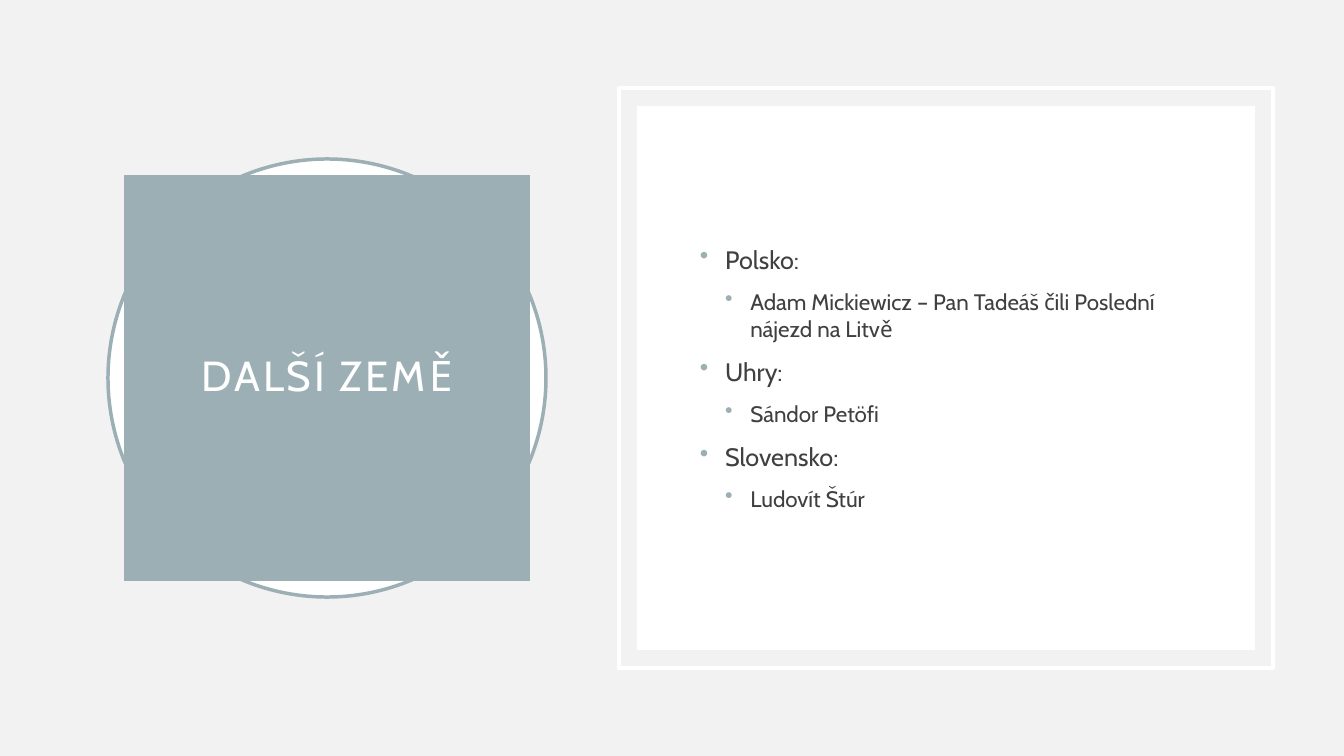
from lxml import etree
from pptx import Presentation
from pptx import util as u
from pptx.dml.color import RGBColor
from pptx.enum import shapes, text
from pptx.oxml.ns import qn

PX_PER_INCH = 100.8
FONT = "Cabin"
PAPER = RGBColor(0xF2, 0xF2, 0xF2)
WHITE = RGBColor(0xFF, 0xFF, 0xFF)
TEAL = RGBColor(0x9B, 0xAF, 0xB5)
INK = RGBColor(0x40, 0x40, 0x40)

COUNTRIES = [
    ("Polsko:", "Adam Mickiewicz – Pan Tadeáš čili Poslední nájezd na Litvě"),
    ("Uhry:", "Sándor Petöfi"),
    ("Slovensko:", "Ludovít Štúr"),
]


def px(length):
    return u.Inches(length / PX_PER_INCH)


def inset(box, dx, dy):
    """Shrink a (left, top, width, height) box on every side."""
    left, top, width, height = box
    return left + dx, top + dy, width - 2 * dx, height - 2 * dy


def add_shape(page, kind, box, fill=None, line=None):
    shape = page.shapes.add_shape(kind, *map(px, box))
    shape.shadow.inherit = False
    if fill is None:
        shape.fill.background()
    else:
        shape.fill.solid()
        shape.fill.fore_color.rgb = fill
    if line is None:
        shape.line.fill.background()
    else:
        shape.line.color.rgb = line
        shape.line.width = u.Pt(2.5)
    return shape


def add_text(para, words, size, color, spacing=0):
    """Add a run; spacing is the letter spacing in points."""
    span = para.add_run()
    span.text = words
    span.font.name = FONT
    span.font.size = u.Pt(size)
    span.font.color.rgb = color
    if spacing:
        span.font._element.set("spc", str(spacing * 100))


def add_bullet(para, level):
    para.level = level
    para.space_before = u.Pt(10)
    props = para._p.get_or_add_pPr()
    props.set("marL", str(u.Inches(0.25 * (level + 1))))
    props.set("indent", str(u.Inches(-0.25)))
    color = etree.SubElement(props, qn("a:buClr"))
    etree.SubElement(color, qn("a:srgbClr"), val=str(TEAL))
    etree.SubElement(props, qn("a:buChar"), char="•")


def draw_title(page, box, title):
    add_shape(page, shapes.MSO_SHAPE.OVAL, box, WHITE, TEAL)
    square = add_shape(page, shapes.MSO_SHAPE.RECTANGLE, inset(box, 16, 16), TEAL)
    frame = square.text_frame
    frame.word_wrap = True
    frame.vertical_anchor = text.MSO_ANCHOR.MIDDLE
    frame.margin_left = frame.margin_right = u.Inches(0.2)
    frame.margin_top = frame.margin_bottom = u.Inches(0.2)
    para = frame.paragraphs[0]
    para.alignment = text.PP_ALIGN.CENTER
    para.line_spacing = 0.9
    add_text(para, title, size=30, color=WHITE, spacing=2)


def draw_countries(page, box, countries):
    add_shape(page, shapes.MSO_SHAPE.RECTANGLE, box, line=WHITE)
    add_shape(page, shapes.MSO_SHAPE.RECTANGLE, inset(box, 18, 18), WHITE)
    body = page.shapes.add_textbox(*map(px, inset(box, 71, 71)))
    frame = body.text_frame
    frame.word_wrap = True
    frame.vertical_anchor = text.MSO_ANCHOR.MIDDLE
    lines = [(words, level) for entry in countries for level, words in enumerate(entry)]
    for number, (words, level) in enumerate(lines):
        para = frame.add_paragraph() if number else frame.paragraphs[0]
        add_bullet(para, level)
        add_text(para, words, size=18 - 2 * level, color=INK)


def main():
    deck = Presentation()
    deck.slide_width, deck.slide_height = px(1344), px(756)
    page = deck.slides.add_slide(deck.slide_layouts[6])
    page.background.fill.solid()
    page.background.fill.fore_color.rgb = PAPER
    draw_title(page, (108, 159, 438, 438), "DALŠÍ ZEMĚ")
    draw_countries(page, (619, 88, 654, 580), COUNTRIES)
    deck.save("out.pptx")


if __name__ == "__main__":
    main()
